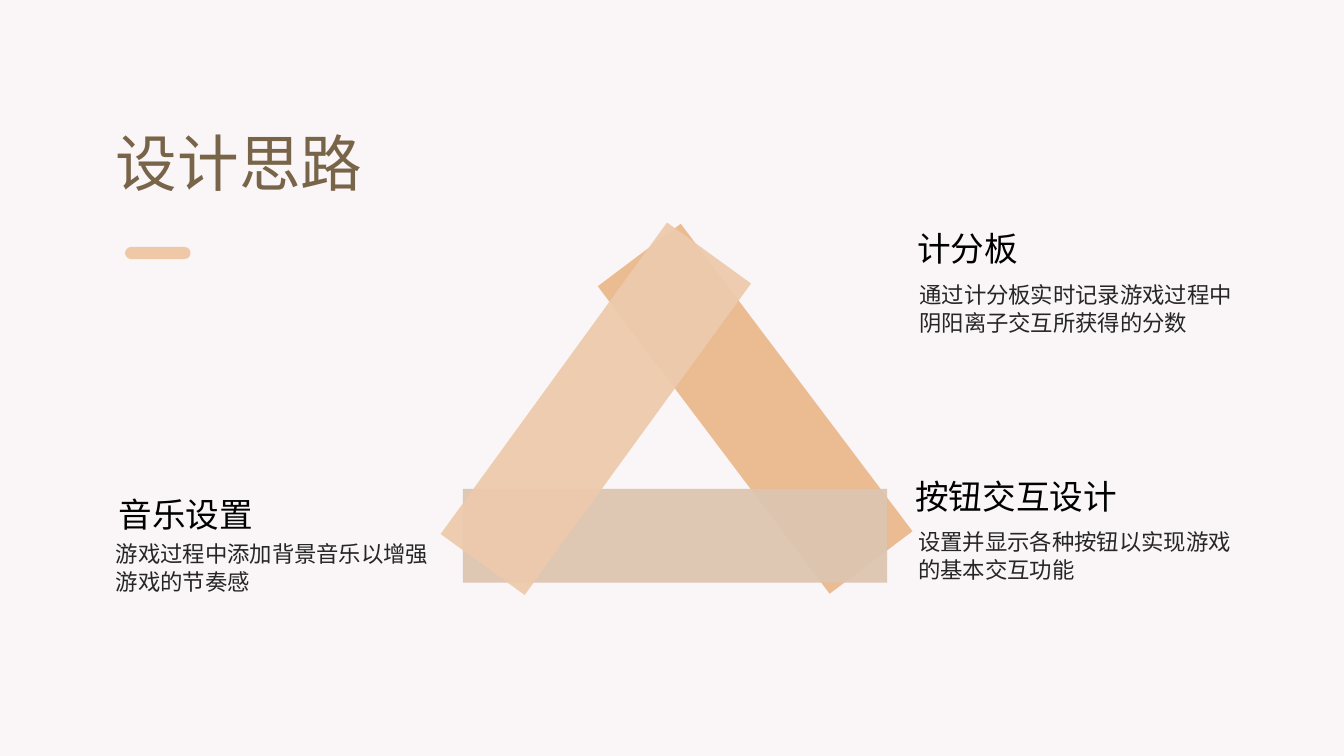
from dataclasses import dataclass

from lxml.etree import SubElement
from pptx import Presentation
from pptx.dml.color import RGBColor
from pptx.enum.shapes import MSO_SHAPE as Preset
from pptx.enum.text import MSO_ANCHOR as Anchor, MSO_AUTO_SIZE as AutoSize, PP_ALIGN as Align
from pptx.oxml.ns import qn
from pptx.shapes.autoshape import Shape
from pptx.slide import Slide
from pptx.util import Emu, Pt

EMU_PER_PX = 9144  # 100 px to the inch
TITLE_ONLY = 5


@dataclass(frozen=True)
class Theme:
    font: str = "Noto Sans CJK SC"
    background: str = "FAF5F6"
    title: str = "786449"
    accent: str = "EFC8A7"
    heading: str = "000000"
    body: str = "262626"
    bar_right: str = "EBB88D"
    bar_base: str = "DDC5B0"
    bar_left: str = "EDCAAD"
    bar_opacity: int = 95
    title_size: int = 44
    heading_size: int = 24
    body_size: int = 16
    body_leading: int = 20


THEME = Theme()


@dataclass(frozen=True)
class Box:
    left: int
    top: int
    width: int
    height: int

    def emu(self) -> tuple[Emu, ...]:
        return tuple(px(n) for n in (self.left, self.top, self.width, self.height))


@dataclass(frozen=True)
class Bar:
    box: Box
    color: str
    rotation: int = 0


@dataclass(frozen=True)
class Topic:
    heading: str
    heading_box: Box
    body: str
    body_left: int
    body_top: int


TITLE_BOX = Box(105, 119, 300, 84)
ACCENT_BOX = Box(124, 245, 65, 12)
BODY_WIDTH, BODY_HEIGHT = 345, 66

BARS = [
    Bar(Box(558, 354, 382, 103), THEME.bar_right, 233),
    Bar(Box(459, 485, 421, 93), THEME.bar_base),
    Bar(Box(400, 354, 382, 103), THEME.bar_left, 306),
]

TOPICS = [
    Topic("计分板", Box(900, 221, 120, 50),
          "通过计分板实时记录游戏过程中阴阳离子交互所获得的分数", 902, 273),
    Topic("按钮交互设计", Box(898, 467, 220, 50),
          "设置并显示各种按钮以实现游戏的基本交互功能", 901, 518),
    Topic("音乐设置", Box(108, 485, 153, 50),
          "游戏过程中添加背景音乐以增强游戏的节奏感", 105, 530),
]


def px(length: int) -> Emu:
    return Emu(length * EMU_PER_PX)


def write(shape: Shape, text: str, size: int, color: str,
          wrap: bool = False, leading: int | None = None) -> None:
    """Set one left-aligned paragraph and format its run."""
    frame = shape.text_frame
    frame.text = text
    frame.word_wrap = wrap
    frame.auto_size = AutoSize.NONE
    frame.vertical_anchor = Anchor.TOP
    para = frame.paragraphs[0]
    para.alignment = Align.LEFT
    if leading:
        para.line_spacing = Pt(leading)
    span = para.runs[0]
    span.font.name = THEME.font
    span.font.size = Pt(size)
    span.font.color.rgb = RGBColor.from_string(color)
    # Chinese characters take the East Asian typeface
    SubElement(span.font._element, qn("a:ea"), typeface=THEME.font)


def add_filled(page: Slide, preset: Preset, box: Box, color: str) -> Shape:
    shape = page.shapes.add_shape(preset, *box.emu())
    shape.shadow.inherit = False
    shape.line.fill.background()
    shape.fill.solid()
    shape.fill.fore_color.rgb = RGBColor.from_string(color)
    return shape


def add_bar(page: Slide, bar: Bar) -> None:
    shape = add_filled(page, Preset.RECTANGLE, bar.box, bar.color)
    shape.rotation = bar.rotation
    tint = shape._element.spPr.find(qn("a:solidFill")).find(qn("a:srgbClr"))
    SubElement(tint, qn("a:alpha"), val=str(THEME.bar_opacity * 1000))


def add_topic(page: Slide, topic: Topic) -> None:
    heading = page.shapes.add_textbox(*topic.heading_box.emu())
    write(heading, topic.heading, THEME.heading_size, THEME.heading)
    body_box = Box(topic.body_left, topic.body_top, BODY_WIDTH, BODY_HEIGHT)
    body = page.shapes.add_textbox(*body_box.emu())
    write(body, topic.body, THEME.body_size, THEME.body,
          wrap=True, leading=THEME.body_leading)


def add_title(page: Slide, text: str) -> None:
    title = page.shapes.title
    title.left, title.top, title.width, title.height = TITLE_BOX.emu()
    write(title, text, THEME.title_size, THEME.title, wrap=True)
    accent = add_filled(page, Preset.ROUNDED_RECTANGLE, ACCENT_BOX, THEME.accent)
    accent.adjustments[0] = 0.5


def main() -> None:
    deck = Presentation()
    deck.slide_width, deck.slide_height = px(1333), px(750)
    page = deck.slides.add_slide(deck.slide_layouts[TITLE_ONLY])

    # Background
    page.background.fill.solid()
    page.background.fill.fore_color.rgb = RGBColor.from_string(THEME.background)

    # Title with its accent, triangle of bars, topics around it
    add_title(page, "设计思路")
    for bar in BARS:
        add_bar(page, bar)
    for topic in TOPICS:
        add_topic(page, topic)

    deck.save("out.pptx")


if __name__ == "__main__":
    main()
